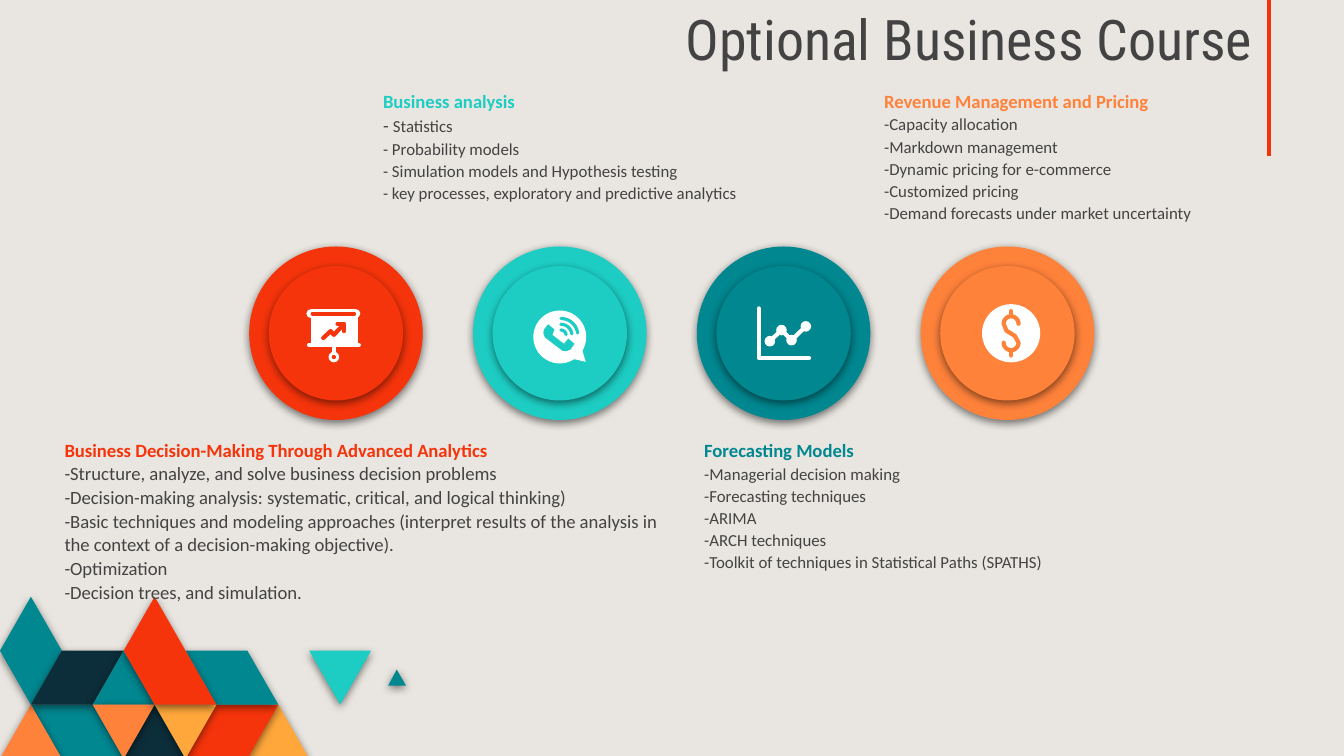
from dataclasses import dataclass
from math import cos, radians, sin

from lxml.etree import SubElement
from pptx import Presentation
from pptx.dml.color import RGBColor as Rgb
from pptx.enum.shapes import MSO_CONNECTOR as Connector, MSO_SHAPE as Preset
from pptx.enum.text import MSO_ANCHOR as Anchor, PP_ALIGN as Align
from pptx.oxml.ns import qn
from pptx.util import Cm, Pt


@dataclass(frozen=True)
class Theme:
    paper: Rgb = Rgb.from_string("E9E6E1")
    ink: Rgb = Rgb.from_string("434343")
    white: Rgb = Rgb.from_string("FFFFFF")
    red: Rgb = Rgb.from_string("F5340B")
    aqua: Rgb = Rgb.from_string("1DCDC3")
    teal: Rgb = Rgb.from_string("018790")
    orange: Rgb = Rgb.from_string("FF823B")
    amber: Rgb = Rgb.from_string("FFA73B")
    dark: Rgb = Rgb.from_string("0C2E3A")
    title_font: str = "Roboto Condensed"
    body_font: str = "Calibri"
    title_size: int = 30
    heading_size: int = 10
    item_size: int = 9


THEME = Theme()

# Colour and corners of each tile, as (column, row) on the tile grid
TILE_W, TILE_H, TILE_TOP = 5.26 / 9, 1.02, 11.28
TILES = [
    (THEME.amber, [(10, 3), (9, 2), (8, 3)]),
    (THEME.red, [(9, 2), (7, 2), (6, 3), (8, 3)]),
    (THEME.teal, [(4, 3), (3, 2), (1, 2), (2, 3)]),
    (THEME.orange, [(2, 3), (1, 2), (0, 3)]),
    (THEME.dark, [(6, 3), (5, 2), (4, 3)]),
    (THEME.teal, [(9, 2), (8, 1), (6, 1), (7, 2)]),
    (THEME.teal, [(13.13, 1.65), (12.83, 1.35), (12.55, 1.65)]),
    (THEME.aqua, [(12, 1), (10, 1), (11, 2)]),
    (THEME.teal, [(2, 1), (1, 0), (0, 1), (1, 2)]),
    (THEME.dark, [(4, 1), (2, 1), (1, 2), (3, 2)]),
    (THEME.teal, [(5, 2), (4, 1), (3, 2)]),
    (THEME.orange, [(5, 2), (3, 2), (4, 3)]),
    (THEME.amber, [(7, 2), (5, 2), (6, 3)]),
    (THEME.red, [(7, 2), (5, 0), (4, 1), (5, 2)]),
]

COURSES = [
    dict(at=(6.99, 1.45, 9.73, 3.23), heading="Business analysis", color=THEME.aqua, lead="- ",
         items=["Statistics", "- Probability models", "- Simulation models and Hypothesis testing",
                "- key processes, exploratory and predictive analytics"]),
    dict(at=(0.97, 8.05, 12.22, 3.91), color=THEME.red, size=THEME.heading_size, joined=True,
         heading="Business Decision-Making Through Advanced Analytics",
         items=["-Structure, analyze, and solve business decision problems",
                "-Decision-making analysis: systematic, critical, and logical thinking)",
                "-Basic techniques and modeling approaches (interpret results of the analysis in "
                "the context of a decision-making objective).",
                "-Optimization", "-Decision trees, and simulation."]),
    dict(at=(13.06, 8.05, 9.53, 3.91), heading="Forecasting Models", color=THEME.teal,
         items=["-Managerial decision making", "-Forecasting techniques", "-ARIMA",
                "-ARCH techniques", "-Toolkit of techniques in Statistical Paths (SPATHS)"]),
    dict(at=(16.46, 1.45, 8.59, 5.16), heading="Revenue Management and Pricing", color=THEME.orange,
         items=["-Capacity allocation", "-Markdown management", "-Dynamic pricing for e-commerce",
                "-Customized pricing", "-Demand forecasts under market uncertainty"]),
]


def set_all(target, values):
    for name, value in values.items():
        setattr(target, name, value)


def paint(shape, color, shadow=False):
    shape.fill.solid()
    shape.fill.fore_color.rgb = color
    shape.line.fill.background()
    shape.shadow.inherit = False
    if shadow:
        effects = shape._element.spPr.find(qn("a:effectLst"))
        outer = SubElement(effects, qn("a:outerShdw"), blurRad=str(Pt(4.5)), dist=str(Pt(1.5)),
                           dir="5400000", algn="bl", rotWithShape="0")
        black = SubElement(outer, qn("a:srgbClr"), val="000000")
        SubElement(black, qn("a:alpha"), val="50000")


def outline(page, points, close):
    corners = [(Cm(x), Cm(y)) for x, y in points]
    builder = page.shapes.build_freeform(*corners[0])
    builder.add_line_segments(corners[1:], close=close)
    return builder.convert_to_shape()


def add_polygon(page, points, color, shadow=False):
    paint(outline(page, points, True), color, shadow)


def add_disc(page, center, radius, color, shadow=False):
    x, y = center
    disc = page.shapes.add_shape(Preset.OVAL, Cm(x - radius), Cm(y - radius),
                                 Cm(2 * radius), Cm(2 * radius))
    paint(disc, color, shadow)


def add_stroke(page, points, color, width=0.08, cap="rnd"):
    """Draw an open line: a connector for two points, a freeform for more."""
    if len(points) == 2:
        ends = [Cm(value) for point in points for value in point]
        stroke = page.shapes.add_connector(Connector.STRAIGHT, *ends)
    else:
        stroke = outline(page, points, False)
        stroke.fill.background()
    stroke.line.color.rgb = color
    stroke.line.width = Cm(width)
    properties = stroke._element.spPr
    line = properties.find(qn("a:ln"))
    line.set("cap", cap)
    SubElement(line, qn("a:round"))
    SubElement(properties, qn("a:effectLst"))


def arc(center, radius, start, end, steps=16):
    angles = [radians(start + (end - start) * i / steps) for i in range(steps + 1)]
    return [(center[0] + radius * cos(a), center[1] + radius * sin(a)) for a in angles]


def add_span(para, text, size, color, bold=False, font=THEME.body_font):
    span = para.add_run()
    span.text = text
    set_all(span.font, dict(name=font, size=Pt(size), bold=bold))
    span.font.color.rgb = color


def set_frame(frame, anchor):
    sides = ("left", "top", "right", "bottom")
    set_all(frame, {f"margin_{side}": Cm(0.25) for side in sides})
    set_all(frame, dict(word_wrap=True, vertical_anchor=anchor))


def add_title(page, text):
    title = page.shapes.title
    set_all(title, dict(left=Cm(1.45), top=Cm(0), width=Cm(22.48), height=Cm(1.6)))
    set_frame(title.text_frame, Anchor.BOTTOM)
    para = title.text_frame.paragraphs[0]
    set_all(para, dict(alignment=Align.RIGHT, line_spacing=1.0, space_before=Pt(0)))
    add_span(para, text, THEME.title_size, THEME.ink, font=THEME.title_font)


def add_course(page, at, heading, color, items, size=THEME.item_size, lead="", joined=False):
    """Lead starts the first item at heading size; joined keeps it in the heading's paragraph."""
    frame = page.shapes.add_textbox(*map(Cm, at)).text_frame
    set_frame(frame, Anchor.TOP)
    para = frame.paragraphs[0]
    add_span(para, heading, THEME.heading_size, color, bold=True)
    for index, item in enumerate(items):
        if joined and index == 0:
            para.add_line_break()
        else:
            para = frame.add_paragraph()
            para.space_before = Pt(1)
        if lead and index == 0:
            add_span(para, lead, THEME.heading_size, THEME.ink)
        add_span(para, item, size, THEME.ink)


def draw_board(page, shift, accent):
    add_stroke(page, shift((-0.47, -0.37), (0.37, -0.37)), THEME.white, 0.18)
    add_stroke(page, shift((-0.44, -0.37), (0.34, -0.37)), accent)
    add_polygon(page, shift((-0.48, -0.3), (0.41, -0.3), (0.41, 0.2), (-0.48, 0.2)), THEME.white)
    add_stroke(page, shift((-0.51, 0.22), (0.43, 0.22)), THEME.white)
    add_stroke(page, shift((-0.04, 0.25), (-0.04, 0.38)), THEME.white)
    for radius, color in ((0.1, THEME.white), (0.04, accent)):
        add_disc(page, *shift((-0.04, 0.45)), radius, color)
    add_stroke(page, shift((-0.24, 0.09), (-0.1, -0.04), (-0.04, 0.03), (0.13, -0.15)), accent)
    add_stroke(page, shift((0.03, -0.18), (0.15, -0.18), (0.15, -0.04)), accent)


def draw_phone(page, shift, accent):
    add_disc(page, *shift((0, 0.07)), 0.5, THEME.white)
    add_polygon(page, shift((0.42, 0.3), (0.49, 0.54), (0.23, 0.48)), THEME.white)
    for radius in (0.1, 0.21, 0.32):
        add_stroke(page, shift(*arc((0.02, 0.04), radius, -90, -8)), accent, 0.06)
    add_polygon(page, shift((-0.22, -0.17), (-0.1, -0.07), (-0.14, 0.03), (0.08, 0.2),
                            (0.16, 0.1), (0.28, 0.2), (0.2, 0.31), (0.12, 0.34),
                            (0.05, 0.33), (-0.28, 0.08), (-0.31, 0), (-0.3, -0.07)), accent)


def draw_trend(page, shift, accent):
    add_stroke(page, shift((-0.47, -0.47), (-0.47, 0.47), (0.48, 0.47)), THEME.white)
    points = shift((-0.26, 0.15), (-0.04, -0.06), (0.15, 0.13), (0.42, -0.13))
    add_stroke(page, points, THEME.white)
    for point in points:
        add_disc(page, point, 0.1, THEME.white)


def draw_dollar(page, shift, accent):
    add_disc(page, *shift((0.07, 0)), 0.55, THEME.white)
    curve = (arc((0.07, -0.18), 0.14, 0, -180) + [(-0.02, -0.05), (0.14, 0.05)]
             + arc((0.07, 0.18), 0.14, 0, 180))
    add_stroke(page, shift(*curve), accent)
    for side in (-1, 1):
        add_stroke(page, shift((0.07, side * 0.33), (0.07, side * 0.42)), accent)


def add_badge(page, center, color, draw_icon):
    def shift(*points):
        return [(center[0] + x, center[1] + y) for x, y in points]

    for radius in (1.64, 1.27):
        add_disc(page, center, radius, color, shadow=True)
    draw_icon(page, shift, color)


def main():
    deck = Presentation()
    set_all(deck, dict(slide_width=Cm(25.4), slide_height=Cm(14.29)))
    page = deck.slides.add_slide(deck.slide_layouts[5])
    page.background.fill.solid()
    page.background.fill.fore_color.rgb = THEME.paper

    for color, corners in TILES:
        points = [(col * TILE_W, TILE_TOP + row * TILE_H) for col, row in corners]
        add_polygon(page, points, color, shadow=True)
    add_stroke(page, [(23.98, 0), (23.98, 2.95)], THEME.red, 0.08, cap="flat")
    add_title(page, "Optional Business Course")

    badges = [(THEME.red, draw_board), (THEME.aqua, draw_phone),
              (THEME.teal, draw_trend), (THEME.orange, draw_dollar)]
    for index, (color, draw_icon) in enumerate(badges):
        add_badge(page, (6.35 + 4.23 * index, 6.3), color, draw_icon)
    for course in COURSES:
        add_course(page, **course)
    deck.save("out.pptx")


if __name__ == "__main__":
    main()
